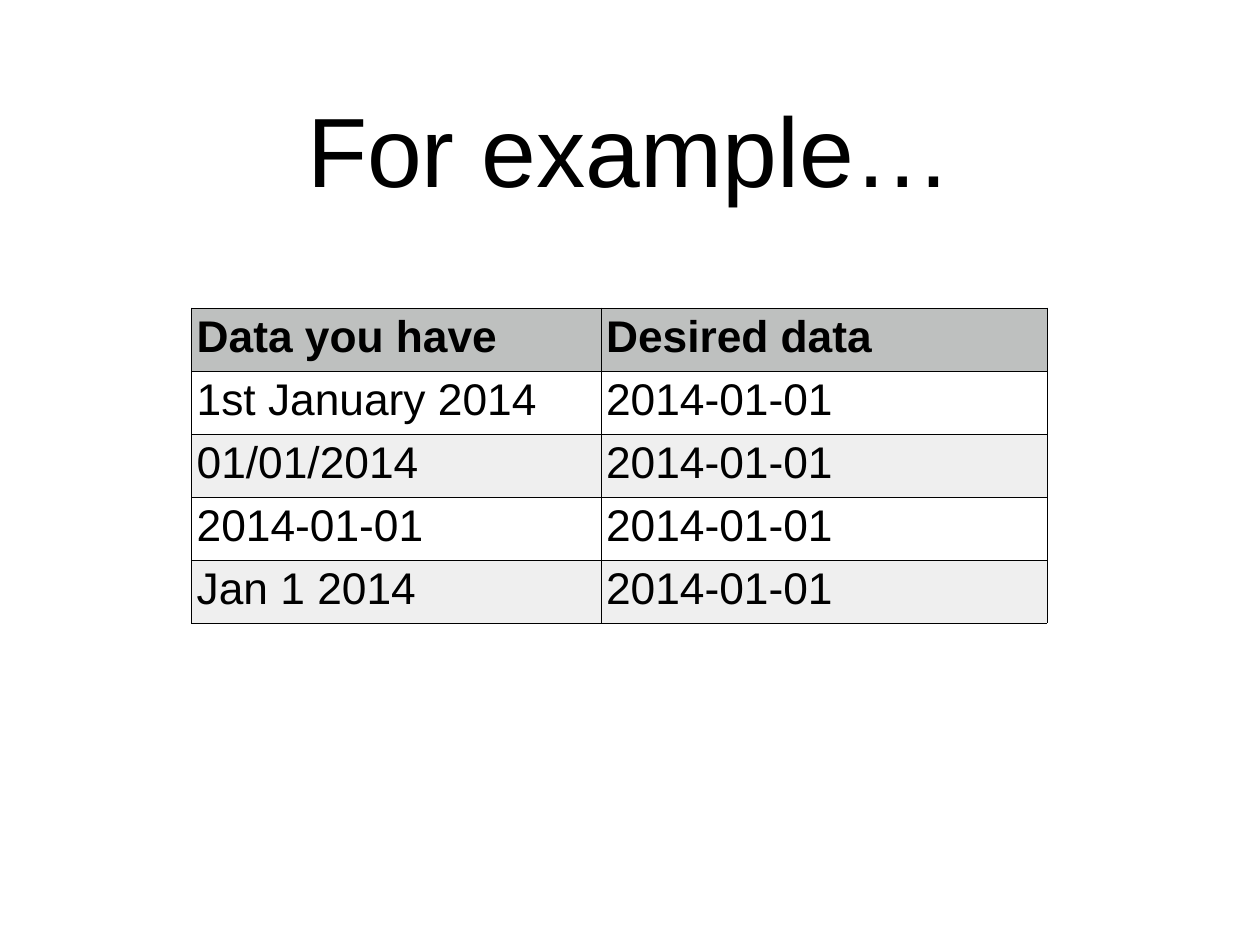
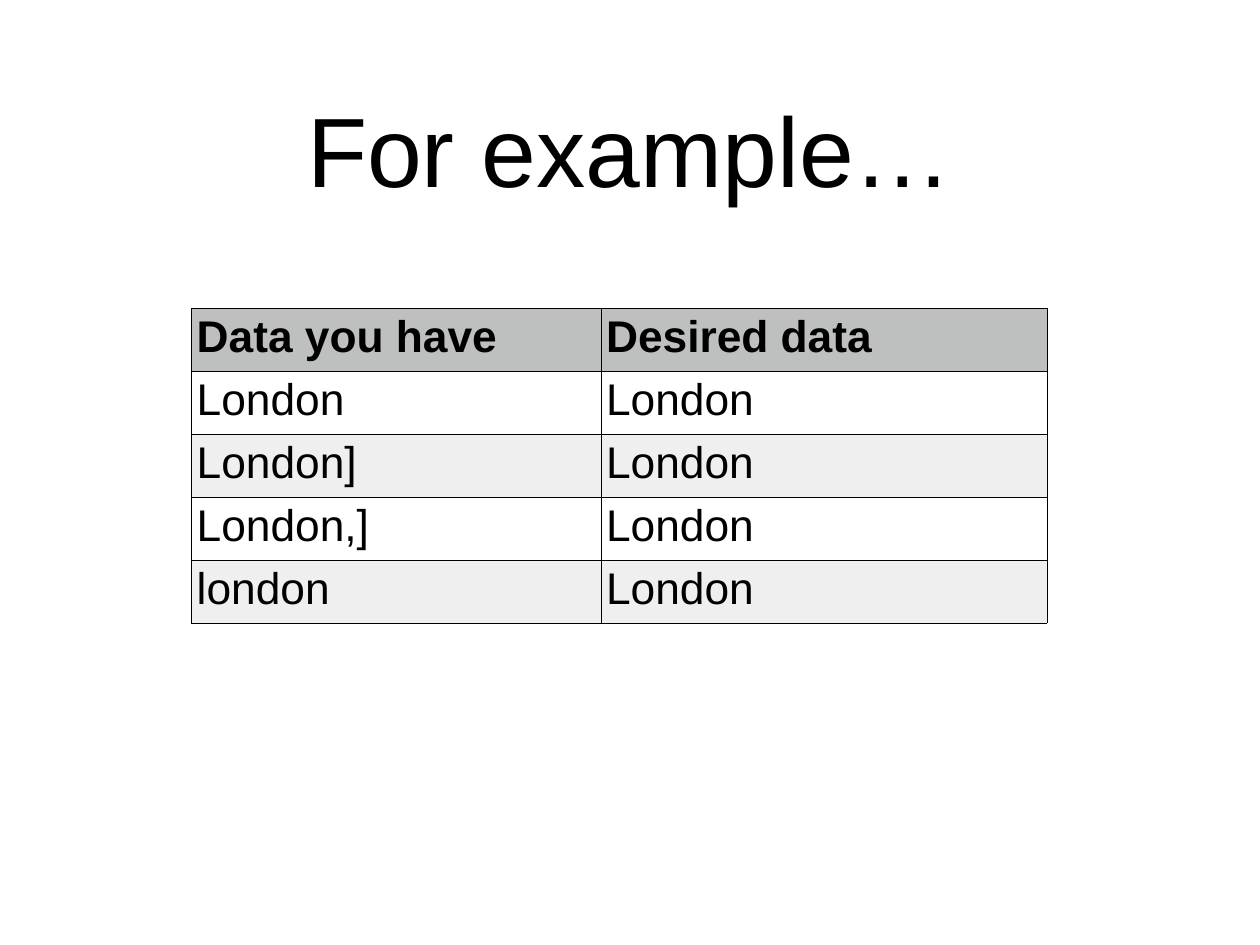
from dataclasses import dataclass

from lxml.etree import SubElement
from pptx import Presentation
from pptx.dml.color import RGBColor
from pptx.enum.text import MSO_ANCHOR, PP_ALIGN
from pptx.oxml.ns import qn
from pptx.util import Inches, Pt


@dataclass(frozen=True)
class Theme:
    font: str = "Arial"
    ink: str = "000000"
    header: str = "BEC0BF"
    band: str = "EFEFEF"
    title_size: int = 80
    cell_size: int = 36
    border: float = 0.11
    header_rule: float = 0.23


THEME = Theme()
TITLE = "For example…"
HEADINGS = ("Data you have", "Desired data")
EXAMPLES = [
    ("2014-01-01", ["1st January 2014", "01/01/2014", "2014-01-01", "Jan 1 2014"]),
    ("London", ["London", "London]", "London,]", "london"]),
]
COL_WIDTHS = (4.62, 5.04)
TABLE_HEIGHT = 3.56


def add_run(p, text, size, bold=False):
    r = p.add_run()
    r.text = text
    r.font.name = THEME.font
    r.font.size = Pt(size)
    r.font.bold = bold
    r.font.color.rgb = RGBColor.from_string(THEME.ink)


def add_borders(cell, row):
    """Outline a cell, with a heavier rule between header and body."""
    tc_pr = cell._tc.get_or_add_tcPr()
    for side in "LRTB":
        under_header = (row, side) in ((0, "B"), (1, "T"))
        width = Pt(THEME.header_rule if under_header else THEME.border)
        ln = SubElement(tc_pr, qn(f"a:ln{side}"), w=str(width))
        fill = SubElement(ln, qn("a:solidFill"))
        SubElement(fill, qn("a:srgbClr"), val=THEME.ink)


prs = Presentation()
prs.slide_width, prs.slide_height = Inches(14.22), Inches(10.66)

for desired, variants in EXAMPLES:
    s = prs.slides.add_slide(prs.slide_layouts[6])

    title = s.shapes.add_textbox(Inches(1.04), Inches(0.49), Inches(12.14), Inches(2.36))
    tf = title.text_frame
    tf.word_wrap = True
    tf.vertical_anchor = MSO_ANCHOR.MIDDLE
    tf.margin_left = tf.margin_right = tf.margin_top = tf.margin_bottom = Inches(0.06)
    p = tf.paragraphs[0]
    p.alignment = PP_ALIGN.CENTER
    add_run(p, TITLE, THEME.title_size)

    rows = [HEADINGS] + [(variant, desired) for variant in variants]
    table = s.shapes.add_table(
        len(rows), len(HEADINGS), Inches(2.16), Inches(3.47),
        Inches(sum(COL_WIDTHS)), Inches(TABLE_HEIGHT),
    ).table
    for column, width in zip(table.columns, COL_WIDTHS):
        column.width = Inches(width)

    for i, texts in enumerate(rows):
        for j, text in enumerate(texts):
            cell = table.cell(i, j)
            cell.margin_left = cell.margin_right = Inches(0.06)
            cell.margin_top = cell.margin_bottom = Inches(0.05)
            add_borders(cell, i)
            if i % 2:
                cell.fill.background()
            else:
                cell.fill.solid()
                color = THEME.band if i else THEME.header
                cell.fill.fore_color.rgb = RGBColor.from_string(color)
            add_run(cell.text_frame.paragraphs[0], text, THEME.cell_size, bold=i == 0)

prs.save("out.pptx")
